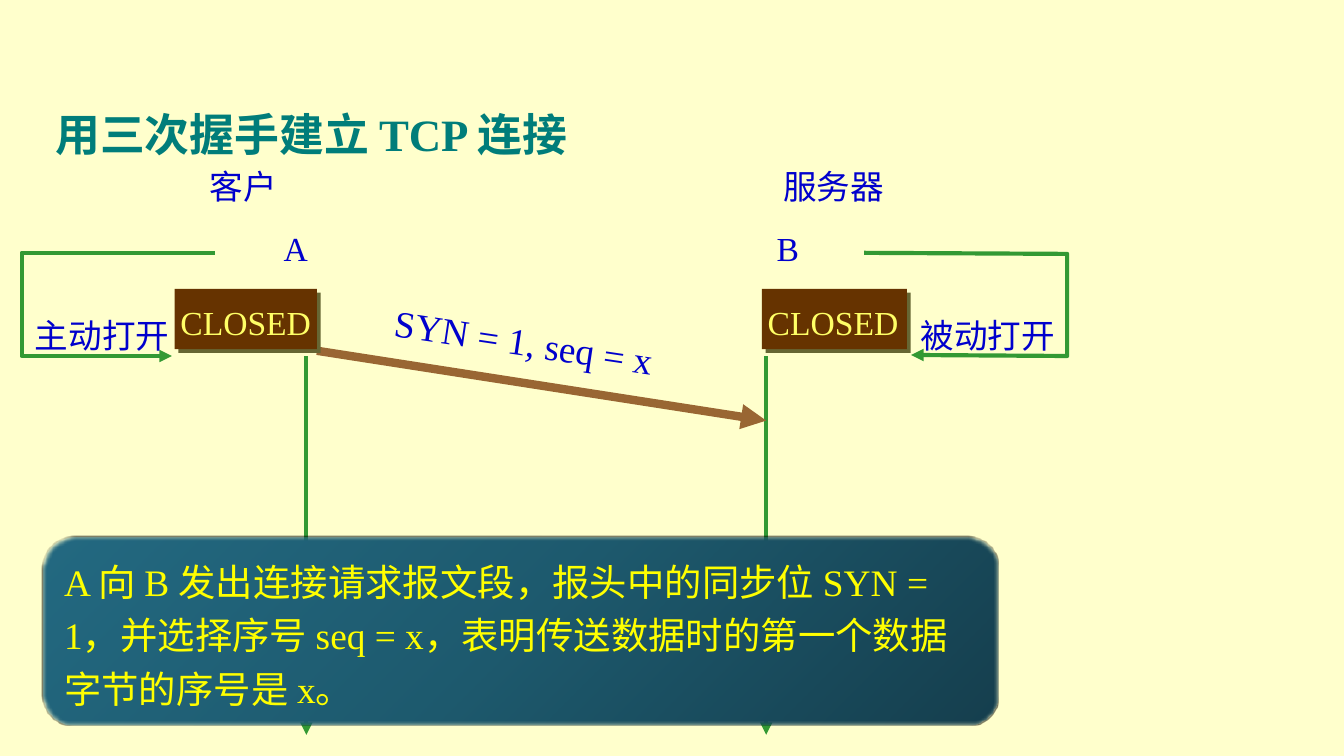
import pptx
import pptx.util
import pptx.oxml
from dataclasses import dataclass
from pptx.dml.color import RGBColor
from pptx.enum.shapes import MSO_CONNECTOR, MSO_SHAPE
from pptx.enum.text import MSO_ANCHOR, MSO_AUTO_SIZE, PP_ALIGN
from pptx.oxml.ns import nsdecls, qn
from pptx.util import Cm, Pt


@dataclass(frozen=True)
class Theme:
    font: str = "Times New Roman"
    background: str = "FFFFCC"
    title: str = "007D7A"
    label: str = "0000CC"
    state: str = "663300"
    state_text: str = "FFFF66"
    state_shadow: str = "666633"
    flow: str = "339933"
    message: str = "996633"
    note_text: str = "FFFF00"
    note_line: str = "000000"
    note_stops: tuple = ((0, "153E4D"), (50, "1D596D"), (100, "236981"))
    title_size: int = 24
    message_size: int = 20
    label_size: int = 18


THEME = Theme()


def rgb(value):
    return RGBColor.from_string(value)


def add_xml(parent, xml):
    """Append a DrawingML element, given without its namespace."""
    tag, rest = xml[:2] + xml[2:].split(" ")[0].split(">")[0].split("/")[0], None
    rest = xml[len(tag):]
    el = pptx.oxml.parse_xml(f"{tag} {nsdecls('a')}{rest}")
    parent.append(el)
    return el


def write(tf, text, size=THEME.label_size, color=THEME.label, bold=False,
          align=PP_ALIGN.LEFT, spacing=None, wrap=True):
    tf.word_wrap = wrap
    p = tf.paragraphs[0]
    p.alignment = align
    if spacing:
        p.line_spacing = spacing
    r = p.add_run()
    r.text = text
    r.font.name = THEME.font
    r.font.size = Pt(size)
    r.font.bold = bold
    r.font.color.rgb = rgb(color)
    return p


def add_label(s, text, left, top, width, height=1.02, rotation=0, **fmt):
    sp = s.shapes.add_textbox(Cm(left), Cm(top), Cm(width), Cm(height))
    sp.rotation = rotation
    write(sp.text_frame, text, **fmt)


def style_line(shape, color, width):
    """Colour a line and give its end a triangular head."""
    shape.line.color.rgb = rgb(color)
    shape.line.width = Pt(width)
    add_xml(shape.line._get_or_add_ln(), '<a:tailEnd type="triangle"/>')


def add_arrow(s, start, end, color=THEME.flow, width=2.25):
    sp = s.shapes.add_connector(MSO_CONNECTOR.STRAIGHT,
                                *(Cm(v) for v in start + end))
    style_line(sp, color, width)
    add_xml(sp._element.spPr, "<a:effectLst/>")


def add_bent_arrow(s, points):
    first, *others = [(Cm(x), Cm(y)) for x, y in points]
    builder = s.shapes.build_freeform(*first)
    builder.add_line_segments(others, close=False)
    sp = builder.convert_to_shape()
    sp.fill.background()
    sp.shadow.inherit = False
    style_line(sp, THEME.flow, 2.25)


def add_state(s, left, width):
    """Draw a CLOSED state block with a hard offset shadow."""
    sp = s.shapes.add_shape(MSO_SHAPE.RECTANGLE,
                            Cm(left), Cm(5.46), Cm(width), Cm(1.14))
    sp.fill.solid()
    sp.fill.fore_color.rgb = rgb(THEME.state)
    sp.line.fill.background()
    add_xml(sp._element.spPr,
            '<a:effectLst><a:outerShdw dist="35560" dir="2700000" algn="ctr" '
            f'rotWithShape="0"><a:srgbClr val="{THEME.state_shadow}"/>'
            '</a:outerShdw></a:effectLst>')
    add_label(s, "CLOSED", left - 0.14, 5.59, 2.97, wrap=False,
              color=THEME.state_text)


def add_note(s, text):
    sp = s.shapes.add_shape(MSO_SHAPE.ROUNDED_RECTANGLE,
                            Cm(0.79), Cm(10.13), Cm(18.06), Cm(3.58))
    sp.adjustments[0] = 0.167
    sp.line.color.rgb = rgb(THEME.note_line)
    sp.line.width = Pt(0.75)
    stops = "".join(f'<a:gs pos="{pos * 1000}"><a:srgbClr val="{color}"/></a:gs>'
                    for pos, color in THEME.note_stops)
    spPr = sp._element.spPr
    fill = add_xml(spPr, f'<a:gradFill><a:gsLst>{stops}</a:gsLst>'
                         '<a:lin ang="13500000" scaled="0"/></a:gradFill>')
    spPr.find(qn("a:ln")).addprevious(fill)
    add_xml(spPr, '<a:effectLst><a:softEdge rad="12700"/></a:effectLst>')
    sp.text_frame.vertical_anchor = MSO_ANCHOR.MIDDLE
    write(sp.text_frame, text, size=THEME.message_size,
          color=THEME.note_text, spacing=1.2)


def set_title(s, text):
    sp = s.shapes.title
    sp.left, sp.top, sp.width, sp.height = Cm(0.79), Cm(2.08), Cm(12.65), Cm(1.09)
    tf = sp.text_frame
    tf.auto_size = MSO_AUTO_SIZE.NONE
    tf.vertical_anchor = MSO_ANCHOR.BOTTOM
    p = write(tf, text, size=THEME.title_size, color=THEME.title, bold=True)
    pPr = p._p.get_or_add_pPr()
    pPr.set("marL", str(Cm(0.97)))
    pPr.set("indent", str(-Cm(0.97)))


def main():
    prs = pptx.Presentation()
    prs.slide_width, prs.slide_height = Cm(25.4), Cm(14.29)
    s = prs.slides.add_slide(prs.slide_layouts[5])
    s.background.fill.solid()
    s.background.fill.fore_color.rgb = rgb(THEME.background)

    client_x, server_x = 5.79, 14.48
    for x in (client_x, server_x):
        add_arrow(s, (x, 6.73), (x, 13.89))
    set_title(s, "用三次握手建立 TCP 连接")
    add_label(s, "SYN = 1, seq = x", 7.19, 5.94, 5.92, 1.09,
              rotation=8.5, size=THEME.message_size)
    add_arrow(s, (5.99, 6.63), (server_x, 7.95), THEME.message, 4.5)

    add_state(s, 3.3, 2.69)
    add_state(s, 14.4, 2.74)
    add_bent_arrow(s, [(4.06, 4.78), (0.41, 4.78), (0.41, 6.73), (3.25, 6.73)])
    add_bent_arrow(s, [(16.33, 4.78), (20.17, 4.8), (20.17, 6.73), (17.22, 6.71)])

    for text, left, top, width in (
        ("主动打开", 0.41, 5.82, 3.05),
        ("被动打开", 17.15, 5.82, 3.05),
        ("A", 5.11, 4.19, 0.97),
        ("B", 14.43, 4.19, 0.91),
        ("客户", 3.71, 3.02, 1.78),
        ("服务器", 14.55, 3.02, 2.41),
    ):
        add_label(s, text, left, top, width, wrap=False)

    add_note(s, "A 向 B 发出连接请求报文段，报头中的同步位 SYN = 1，"
                "并选择序号 seq = x，表明传送数据时的第一个数据字节的序号是 x。")
    prs.save("out.pptx")


if __name__ == "__main__":
    main()
